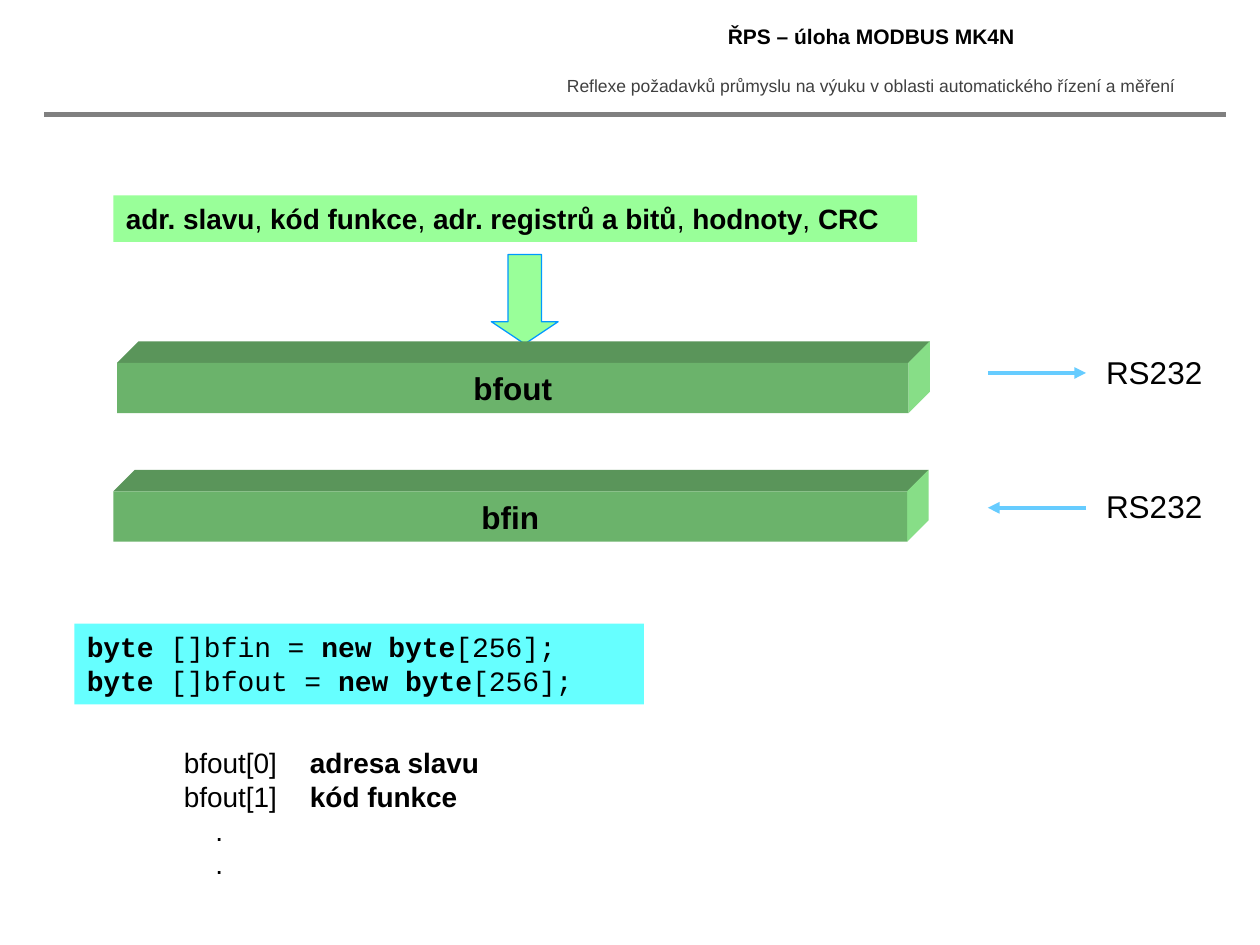
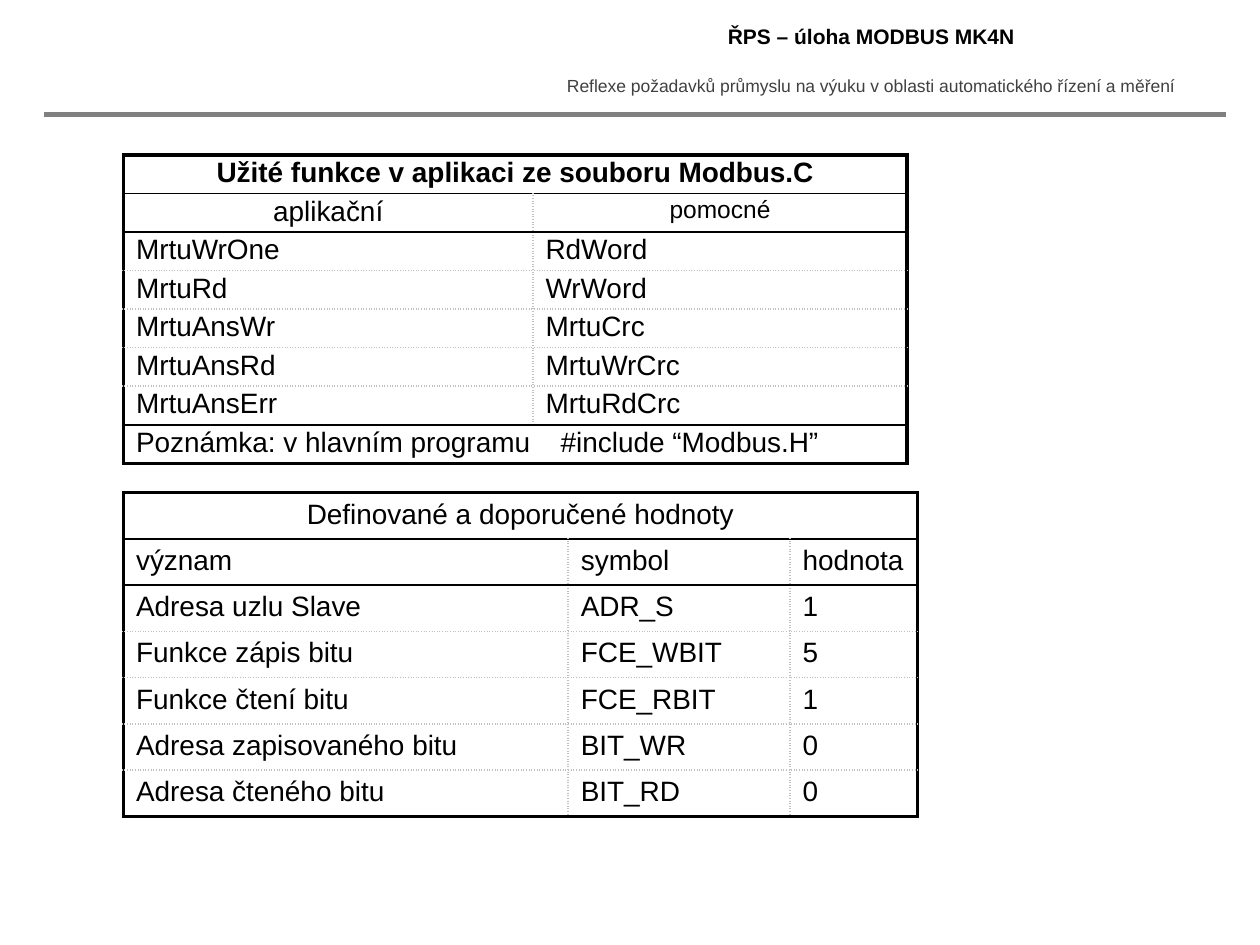
"""Builds two slides about Modbus buffers, functions and constants."""
import dataclasses

import pptx
import pptx.dml.color
import pptx.enum.shapes
import pptx.enum.text
import pptx.oxml
import pptx.oxml.ns
import pptx.util

Inches = pptx.util.Inches
Pt = pptx.util.Pt
SHAPE = pptx.enum.shapes.MSO_SHAPE
ALIGN = pptx.enum.text.PP_ALIGN
ANCHOR = pptx.enum.text.MSO_ANCHOR


@dataclasses.dataclass(frozen=True)
class Theme:
    """Colours, fonts and type sizes of the deck."""
    ink: str = "000000"
    muted: str = "404040"
    rule: str = "808080"
    grid: str = "C0C0C0"
    green: str = "99FF99"
    bar_front: str = "6BB36B"
    bar_top: str = "5A955A"
    bar_side: str = "87DE87"
    cyan: str = "66FFFF"
    outline: str = "0099FF"
    arrow: str = "66CCFF"
    font: str = "Arial"
    code_font: str = "Courier New"
    caption: int = 10
    title: int = 12
    small: int = 14
    body: int = 16
    label: int = 18


THEME = Theme()
THICK = (2.25, THEME.ink, "solid")
THIN = (1, THEME.ink, "solid")
DOTTED = (1, THEME.grid, "sysDot")


def rgb(code):
    """Return the colour object for a hex code."""
    return pptx.dml.color.RGBColor.from_string(code)


def element(markup):
    """Parse markup whose root element is in the drawing namespace."""
    head, rest = markup.split(" ", 1)
    return pptx.oxml.parse_xml(f"{head} {pptx.oxml.ns.nsdecls('a')} {rest}")


def add_span(para, text, size=THEME.body, bold=False, color=THEME.ink, font=THEME.font):
    """Add one formatted run to a paragraph."""
    span = para.add_run()
    span.text = text
    span.font.size, span.font.bold, span.font.name = Pt(size), bold, font
    span.font.color.rgb = rgb(color)


def write(frame, lines, align=ALIGN.LEFT, wrap=True, anchor=ANCHOR.TOP, **style):
    """Fill a text frame with lines, each a list of (text, bold) spans."""
    frame.word_wrap = wrap
    frame.vertical_anchor = anchor
    frame.auto_size = pptx.enum.text.MSO_AUTO_SIZE.NONE
    for index, spans in enumerate(lines):
        para = frame.add_paragraph() if index else frame.paragraphs[0]
        para.alignment = align
        para.space_before = Pt(0)
        for text, bold in spans:
            add_span(para, text, bold=bold, **style)


def set_tab(para, position):
    """Give a paragraph one left tab stop."""
    para._p.get_or_add_pPr().append(
        element(f'<a:tabLst ><a:tab pos="{Inches(position)}" algn="l"/></a:tabLst>'))


def place(box, left, top, width, height):
    """Move and size a shape."""
    box.left, box.top = Inches(left), Inches(top)
    box.width, box.height = Inches(width), Inches(height)


def add_text(page, left, top, width, height, lines, **style):
    """Add a text box."""
    box = page.shapes.add_textbox(*map(Inches, (left, top, width, height)))
    write(box.text_frame, lines, **style)


def paint(shape, fill, line=None):
    """Set the fill and outline of a shape and drop its shadow."""
    shape.shadow.inherit = False
    shape.fill.solid()
    shape.fill.fore_color.rgb = rgb(fill)
    if line:
        shape.line.color.rgb = rgb(line)
        shape.line.width = Pt(0.75)
    else:
        shape.line.fill.background()


def add_panel(page, left, top, width, height, fill, lines, **style):
    """Add a filled rectangle with text."""
    panel = page.shapes.add_shape(SHAPE.RECTANGLE, *map(Inches, (left, top, width, height)))
    paint(panel, fill)
    write(panel.text_frame, lines, **style)


def add_face(page, points, fill):
    """Add a filled polygon through the given points."""
    corners = [(Inches(x), Inches(y)) for x, y in points]
    builder = page.shapes.build_freeform(*corners[0])
    builder.add_line_segments(corners[1:], close=True)
    paint(builder.convert_to_shape(), fill)


def add_bar(page, left, top, right, name):
    """Add a buffer bar with a lit side and a shaded top."""
    height, depth = 0.4, 0.17
    bottom = top + height
    add_face(page, [(left, top), (left + depth, top - depth),
                    (right + depth, top - depth), (right, top)], THEME.bar_top)
    add_face(page, [(right, top), (right + depth, top - depth),
                    (right + depth, bottom - depth), (right, bottom)], THEME.bar_side)
    add_panel(page, left, top, right - left, height, THEME.bar_front, [[(name, True)]],
              align=ALIGN.CENTER, anchor=ANCHOR.MIDDLE, size=THEME.label)


def add_line(page, start, end, color, width, arrow=False):
    """Add a straight line, with an arrowhead at its end if asked."""
    line = page.shapes.add_connector(
        pptx.enum.shapes.MSO_CONNECTOR.STRAIGHT, *map(Inches, (*start, *end)))
    line.line.color.rgb = rgb(color)
    line.line.width = Pt(width)
    if arrow:
        line.line._get_or_add_ln().append(element('<a:tailEnd type="triangle"/>'))
    line._element.spPr.append(element("<a:effectLst />"))


def add_port(page, y, outgoing):
    """Add a serial port label with an arrow to or from it."""
    ends = [(7.84, y), (8.62, y)]
    start, end = ends if outgoing else reversed(ends)
    add_line(page, start, end, THEME.arrow, 2.25, arrow=True)
    add_text(page, 8.68, y - 0.21, 0.97, 0.4, [[("RS232", False)]],
             size=THEME.label, wrap=False)


def set_borders(cell, **sides):
    """Draw the L, R, T and B borders of a cell."""
    properties = cell._tc.get_or_add_tcPr()
    for side, (width, color, dash) in sides.items():
        properties.append(element(
            f'<a:ln{side} w="{Pt(width)}"><a:solidFill><a:srgbClr val="{color}"/>'
            f'</a:solidFill><a:prstDash val="{dash}"/></a:ln{side}>'))


def add_grid(page, left, top, height, widths, rows, ruled, inset):
    """Add a framed table; a row with one text spans all columns."""
    count, last = len(rows), len(widths) - 1
    frame = page.shapes.add_table(
        count, len(widths), *map(Inches, (left, top, sum(widths), height)))
    table = frame.table
    table.first_row = table.horz_banding = False
    for column, width in zip(table.columns, widths):
        column.width = Inches(width)
    edges = [THICK if i in (0, count) else THIN if i in ruled else DOTTED
             for i in range(count + 1)]
    for i, texts in enumerate(rows):
        table.rows[i].height = Inches(height / count)
        merged = len(texts) == 1
        for j in range(last + 1):
            cell = table.cell(i, j)
            set_borders(cell, L=THICK if merged or j == 0 else DOTTED,
                        R=THICK if merged or j == last else DOTTED,
                        T=edges[i], B=edges[i + 1])
            cell.fill.background()
            cell.margin_top = cell.margin_bottom = Inches(inset)
        if merged:
            table.cell(i, 0).merge(table.cell(i, last))
        for j, text in enumerate(texts):
            write_cell(table.cell(i, j), text)
    return table


def write_cell(cell, text, align=ALIGN.LEFT, size=THEME.body, bold=False):
    """Replace the text of a table cell."""
    para = cell.text_frame.paragraphs[0]
    para.clear()
    para.alignment = align
    add_span(para, text, size, bold)


def add_page(deck, layout):
    """Add a slide with the shared title, caption and rule."""
    page = deck.slides.add_slide(deck.slide_layouts[layout])
    for box in list(page.placeholders):
        if box.placeholder_format.idx > 1:
            box._element.getparent().remove(box._element)
    place(page.shapes.title, 4.3, 0.14, 5.23, 0.31)
    write(page.shapes.title.text_frame, [[("ŘPS – úloha MODBUS MK4N", True)]],
          align=ALIGN.CENTER, size=THEME.title)
    caption = "Reflexe požadavků průmyslu na výuku v oblasti automatického řízení a měření"
    add_text(page, 4.3, 0.55, 5.22, 0.27, [[(caption, False)]],
             align=ALIGN.CENTER, size=THEME.caption, color=THEME.muted)
    add_line(page, (0.35, 0.91), (9.73, 0.91), THEME.rule, 3)
    return page


def add_byte_list(page):
    """Fill the body placeholder with the meaning of the buffer bytes."""
    body = page.placeholders[1]
    place(body, 1.36, 5.87, 2.9, 1.18)
    write(body.text_frame, [[("bfout[0]\t", False), ("adresa slavu", True)],
                            [("bfout[1]\t", False), ("kód funkce", True)],
                            [(".", False)], [(".", False)]])
    for para, indent in zip(body.text_frame.paragraphs, (0, 0, 0.25, 0.25)):
        properties = para._p.get_or_add_pPr()
        properties.set("marL", str(Inches(indent)))
        properties.set("indent", "0")
        properties.append(element("<a:buNone />"))
        set_tab(para, 0.98)


def build_buffers(deck):
    """Build the slide on the send and receive buffers."""
    page = add_page(deck, 1)
    parts = ["adr. slavu", "kód funkce", "adr. registrů a bitů", "hodnoty", "CRC"]
    spans = [(parts[0], True)]
    for part in parts[1:]:
        spans += [(", ", False), (part, True)]
    add_panel(page, 0.9, 1.55, 6.38, 0.37, THEME.green, [spans])
    arrow = page.shapes.add_shape(SHAPE.DOWN_ARROW, *map(Inches, (3.9, 2.02, 0.53, 0.71)))
    arrow.adjustments[1] = 0.333
    paint(arrow, THEME.green, THEME.outline)
    add_bar(page, 0.93, 2.88, 7.21, "bfout")
    add_bar(page, 0.9, 3.9, 7.2, "bfin")
    add_port(page, 2.96, outgoing=True)
    add_port(page, 4.03, outgoing=False)
    code = [[("byte", True), (f" []{name} = ", False), ("new byte", True), ("[256];", False)]
            for name in ("bfin", "bfout")]
    add_panel(page, 0.59, 4.95, 4.52, 0.64, THEME.cyan, code, font=THEME.code_font)
    add_byte_list(page)


def build_tables(deck):
    """Build the slide on functions and constants."""
    page = add_page(deck, 5)
    heading = "Užité funkce v aplikaci ze souboru Modbus.C"
    functions = add_grid(page, 0.98, 1.23, 2.45, [3.25, 2.97], [
        [heading],
        ["aplikační", "pomocné"],
        ["MrtuWrOne", "RdWord"],
        ["MrtuRd", "WrWord"],
        ["MrtuAnsWr", "MrtuCrc"],
        ["MrtuAnsRd", "MrtuWrCrc"],
        ["MrtuAnsErr", "MrtuRdCrc"],
        ["Poznámka: v hlavním programu\t#include “Modbus.H”"],
    ], ruled=(1, 2, 7), inset=0.02)
    write_cell(functions.cell(0, 0), heading, ALIGN.CENTER, bold=True)
    write_cell(functions.cell(1, 0), "aplikační", ALIGN.CENTER)
    write_cell(functions.cell(1, 1), "pomocné", ALIGN.CENTER, THEME.small)
    set_tab(functions.cell(7, 0).text_frame.paragraphs[0], 3.37)
    constants = add_grid(page, 0.98, 3.91, 2.57, [3.53, 1.76, 1.01], [
        ["Definované a doporučené hodnoty"],
        ["význam", "symbol", "hodnota"],
        ["Adresa uzlu Slave", "ADR_S", "1"],
        ["Funkce zápis bitu", "FCE_WBIT", "5"],
        ["Funkce čtení bitu", "FCE_RBIT", "1"],
        ["Adresa zapisovaného bitu", "BIT_WR", "0"],
        ["Adresa čteného bitu", "BIT_RD", "0"],
    ], ruled=(1, 2), inset=0.05)
    constants.cell(0, 0).text_frame.paragraphs[0].alignment = ALIGN.CENTER


def main():
    """Build and save the deck."""
    deck = pptx.Presentation()
    deck.slide_width, deck.slide_height = Inches(10), Inches(7.5)
    build_buffers(deck)
    build_tables(deck)
    deck.save("out.pptx")


main()
